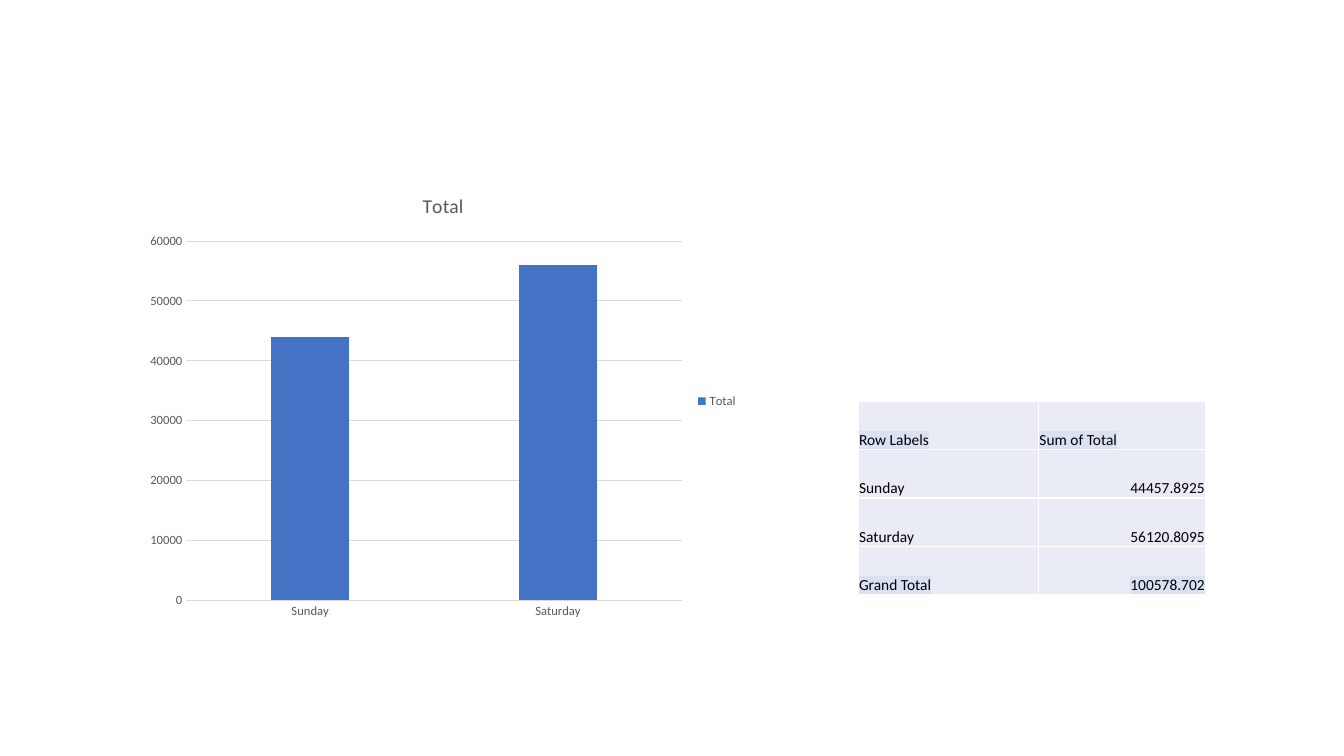
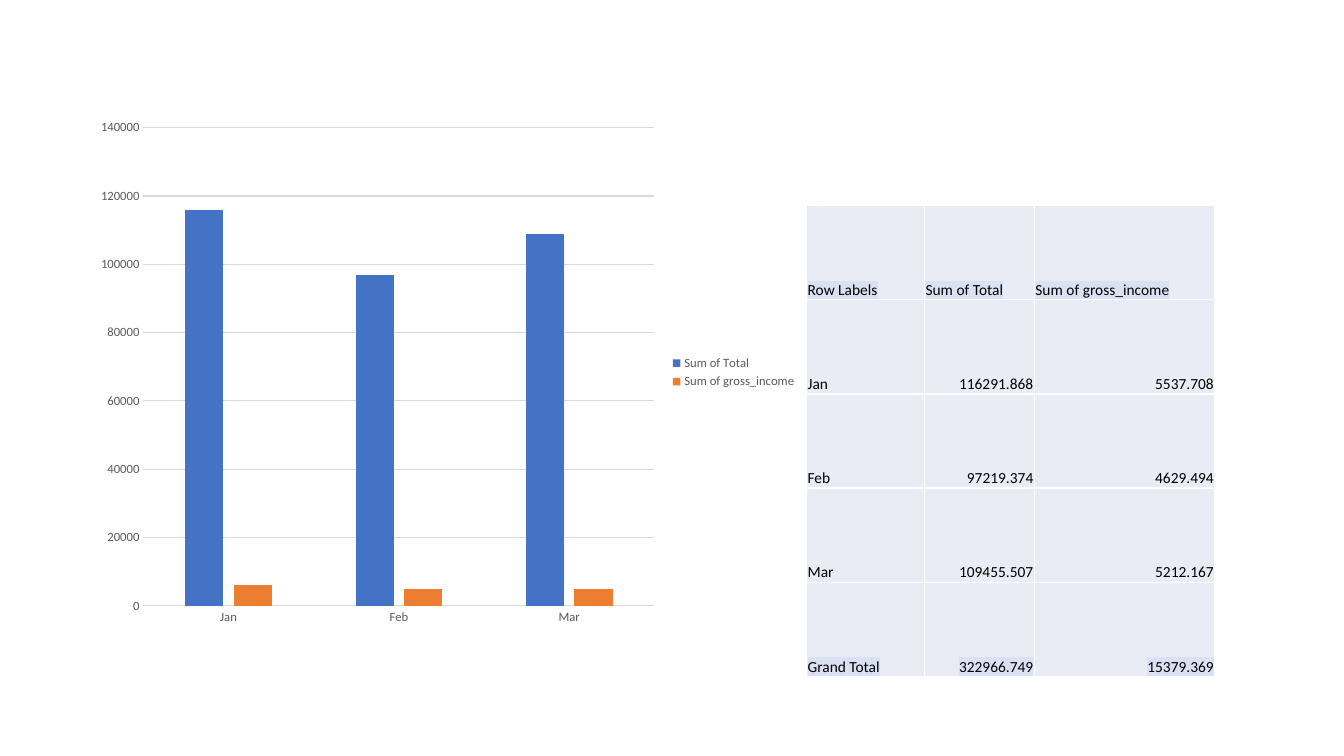
import pptx
import pptx.chart.data
import pptx.dml.color
import pptx.enum.chart
import pptx.enum.text
import pptx.oxml
import pptx.oxml.ns
import pptx.util
from pptx.util import Inches

FONT = "Calibri"
COLORS = {
    "text": "000000",
    "chart_text": "595959",
    "grid": "D9D9D9",
    "cell": "E9EBF5",
    "border": "FFFFFF",
    "highlight": "D9E1F2",
}
SERIES_COLORS = ["4472C4", "ED7D31"]

DAY_ROWS = [
    ("Row Labels", "Sum of Total"),
    ("Sunday", "44457.8925"),
    ("Saturday", "56120.8095"),
    ("Grand Total", "100578.702"),
]
MONTH_ROWS = [
    ("Row Labels", "Sum of Total", "Sum of gross_income"),
    ("Jan", "116291.868", "5537.708"),
    ("Feb", "97219.374", "4629.494"),
    ("Mar", "109455.507", "5212.167"),
    ("Grand Total", "322966.749", "15379.369"),
]


def rgb(color):
    return pptx.dml.color.RGBColor.from_string(color)


def format_font(font, size, color):
    font.size = pptx.util.Pt(size)
    font.bold = False
    font.color.rgb = rgb(color)
    font.name = FONT


def add_text(paragraph, text, size=11, color=COLORS["text"], align=None, highlight=None):
    run = paragraph.add_run()
    run.text = text
    format_font(run.font, size, color)
    if align is not None:
        paragraph.alignment = align
    if highlight:
        fill = run.font._element.find(pptx.oxml.ns.qn("a:solidFill"))
        fill.addnext(pptx.oxml.parse_xml(
            f'<a:highlight {pptx.oxml.ns.nsdecls("a")}>'
            f'<a:srgbClr val="{highlight}"/></a:highlight>'))


def add_cell_borders(cell, color, width=1):
    properties = cell._tc.get_or_add_tcPr()
    for side in "LRTB":
        properties.append(pptx.oxml.parse_xml(
            f'<a:ln{side} {pptx.oxml.ns.nsdecls("a")} w="{pptx.util.Pt(width)}">'
            f'<a:solidFill><a:srgbClr val="{color}"/></a:solidFill></a:ln{side}>'))


def format_line(line, color, width=0.75):
    line.color.rgb = rgb(color)
    line.width = pptx.util.Pt(width)


def format_axes(chart):
    for axis in (chart.category_axis, chart.value_axis):
        axis.major_tick_mark = pptx.enum.chart.XL_TICK_MARK.NONE
        axis.minor_tick_mark = pptx.enum.chart.XL_TICK_MARK.NONE
        format_font(axis.tick_labels.font, 9, COLORS["chart_text"])
    format_line(chart.category_axis.format.line, COLORS["grid"])
    chart.value_axis.format.line.fill.background()
    chart.value_axis.has_major_gridlines = True
    format_line(chart.value_axis.major_gridlines.format.line, COLORS["grid"])


def add_column_chart(slide, rows, left, top, width, height, names=None, title=None):
    """Plot the rows between header and grand total, rounded to thousands."""
    header, *body, _ = rows
    data = pptx.chart.data.CategoryChartData()
    data.categories = [row[0] for row in body]
    for column, name in enumerate(names or header[1:], start=1):
        data.add_series(name, [int(round(float(row[column]), -3)) for row in body])
    chart = slide.shapes.add_chart(
        pptx.enum.chart.XL_CHART_TYPE.COLUMN_CLUSTERED,
        Inches(left), Inches(top), Inches(width), Inches(height), data).chart
    format_font(chart.font, 10, COLORS["text"])
    format_axes(chart)

    chart.has_title = title is not None
    if title:
        paragraph = chart.chart_title.text_frame.paragraphs[0]
        add_text(paragraph, title, size=14, color=COLORS["chart_text"])
        chart.chart_title.include_in_layout = False

    chart.has_legend = True
    chart.legend.position = pptx.enum.chart.XL_LEGEND_POSITION.RIGHT
    chart.legend.include_in_layout = False
    format_font(chart.legend.font, 9, COLORS["chart_text"])

    plot = chart.plots[0]
    plot.gap_width = 219
    plot.overlap = -27
    plot.vary_by_categories = False
    for series, color in zip(plot.series, SERIES_COLORS):
        series.invert_if_negative = False
        series.format.fill.solid()
        series.format.fill.fore_color.rgb = rgb(color)


def add_pivot_table(slide, rows, left, top, column_widths, height):
    """Add a table whose header and grand total have highlighted text."""
    table = slide.shapes.add_table(
        len(rows), len(column_widths), Inches(left), Inches(top),
        Inches(sum(column_widths)), Inches(height)).table
    table.first_row = False
    table.horz_banding = False
    for column, width in zip(table.columns, column_widths):
        column.width = Inches(width)

    last_row = len(rows) - 1
    for row_index, row in enumerate(rows):
        table.rows[row_index].height = Inches(height / len(rows))
        for column_index, text in enumerate(row):
            cell = table.cell(row_index, column_index)
            cell.margin_left = cell.margin_right = cell.margin_top = Inches(0.01)
            cell.margin_bottom = 0
            cell.vertical_anchor = pptx.enum.text.MSO_ANCHOR.BOTTOM
            add_cell_borders(cell, COLORS["border"])
            cell.fill.solid()
            cell.fill.fore_color.rgb = rgb(COLORS["cell"])
            is_number = row_index > 0 and column_index > 0
            alignment = pptx.enum.text.PP_ALIGN
            add_text(
                cell.text_frame.paragraphs[0], text,
                align=alignment.RIGHT if is_number else alignment.LEFT,
                highlight=COLORS["highlight"] if row_index in (0, last_row) else None)


def main():
    presentation = pptx.Presentation()
    presentation.slide_width = Inches(13.33)
    presentation.slide_height = Inches(7.5)
    blank_layout = presentation.slide_layouts[6]

    day_slide = presentation.slides.add_slide(blank_layout)
    add_column_chart(day_slide, DAY_ROWS, 1.37, 1.73, 6.05, 4.5,
                     names=["Total"], title="Total")
    add_pivot_table(day_slide, DAY_ROWS, 8.51, 3.98, [1.79, 1.66], 1.92)

    month_slide = presentation.slides.add_slide(blank_layout)
    add_column_chart(month_slide, MONTH_ROWS, 0.86, 1.09, 7.14, 5.21)
    add_pivot_table(month_slide, MONTH_ROWS, 8, 2.04, [1.17, 1.09, 1.79], 4.67)

    presentation.save("out.pptx")


if __name__ == "__main__":
    main()
